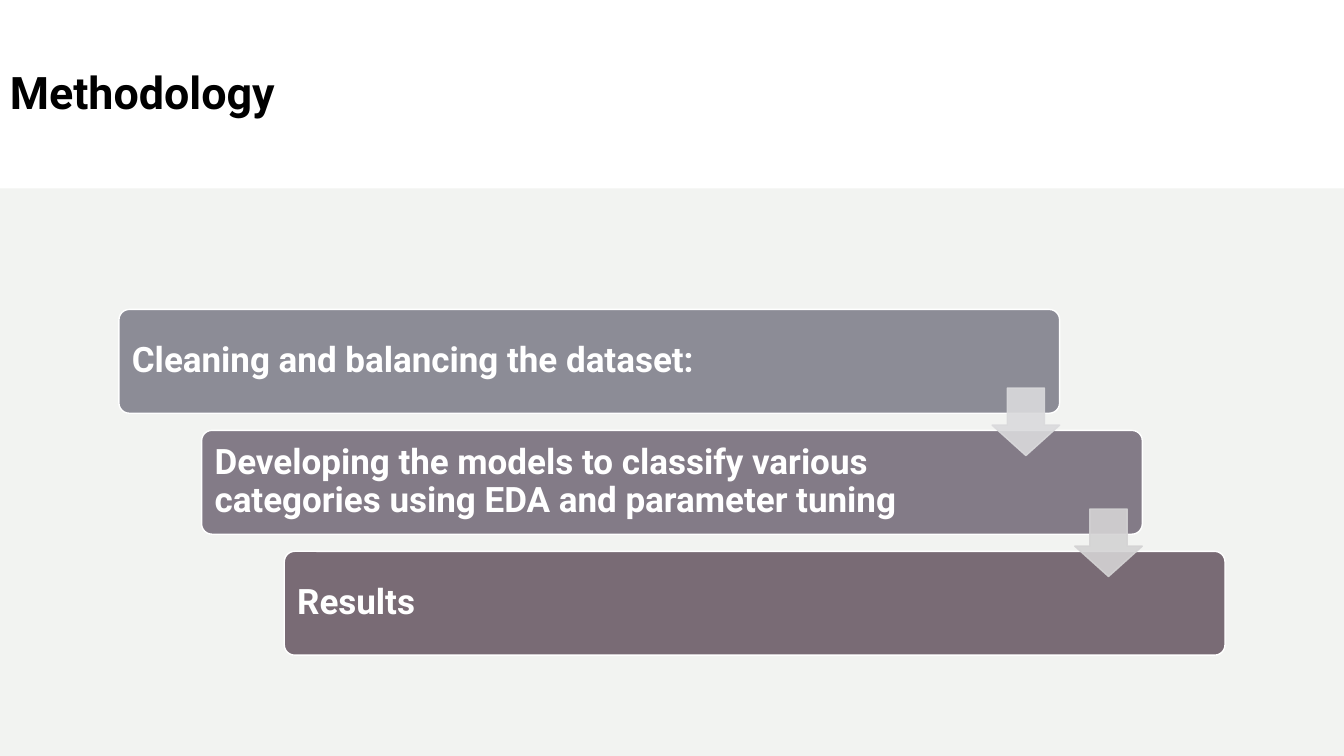
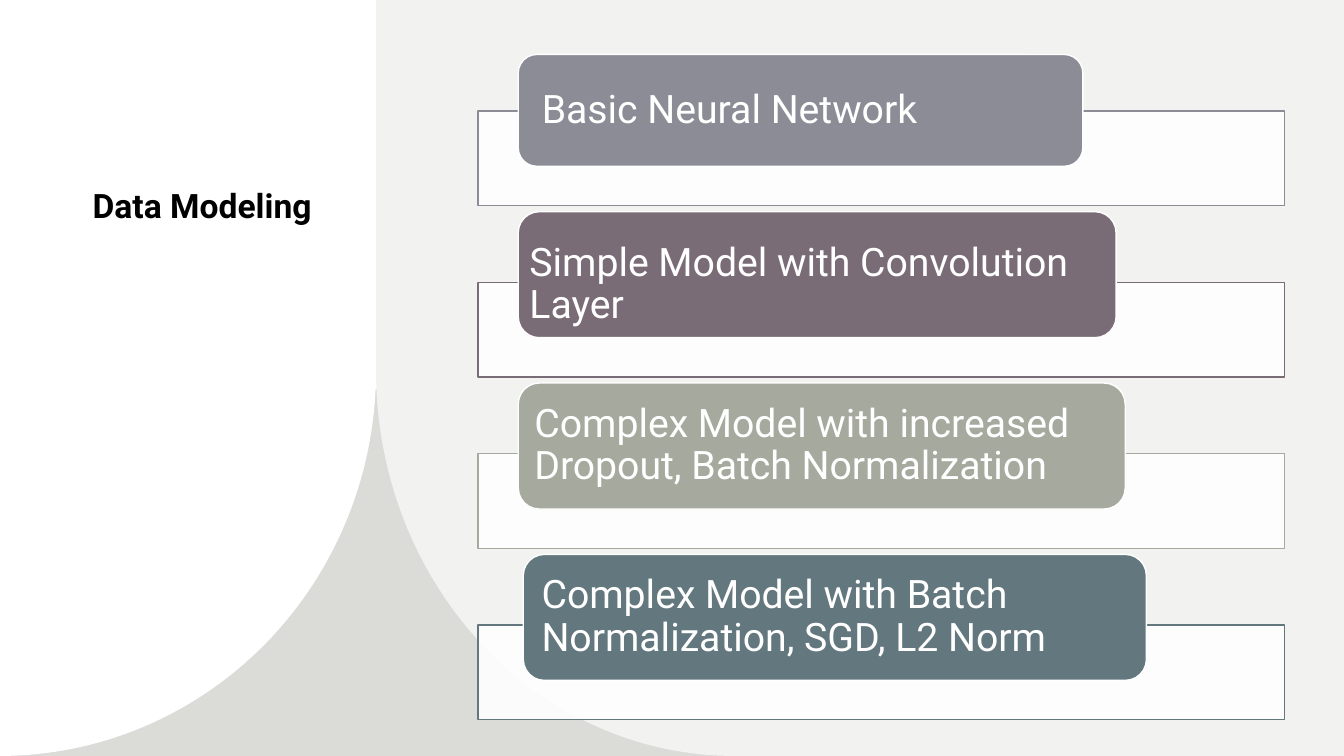
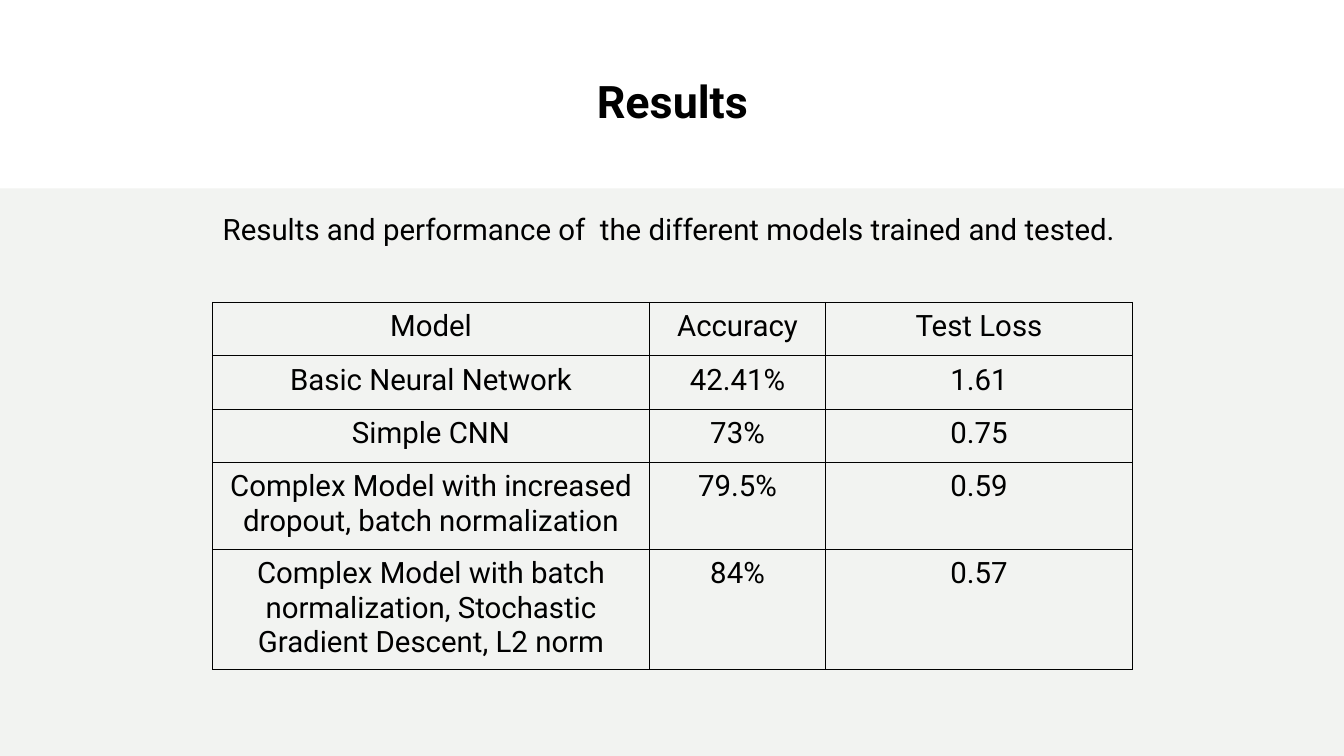
from math import cos, radians, sin

from lxml.etree import SubElement
from pptx import Presentation
from pptx.dml.color import RGBColor
from pptx.enum.shapes import MSO_SHAPE
from pptx.enum.text import MSO_ANCHOR, PP_ALIGN
from pptx.oxml import parse_xml
from pptx.oxml.ns import nsdecls, qn
from pptx.util import Inches, Pt

FONT = "Roboto"
COLORS = {
    "white": "FFFFFF", "black": "000000", "body": "F2F3F1", "corner": "DBDCD7",
    "slate": "8C8C96", "violet": "837B87", "plum": "796B75", "mauve": "7A6C76",
    "sage": "A6A99D", "teal": "63777E", "arrow1": "DADADC", "arrow2": "D4D3D4",
}
SLIDE_W, SLIDE_H = 13.33, 7.5
BAND_H = 1.87
PANEL_W = 3.73


def rgb(name):
    return RGBColor.from_string(COLORS[name])


def write(frame, text, size=21, bold=False, color="black", align=PP_ALIGN.LEFT,
          anchor=MSO_ANCHOR.TOP, spacing=1.0, insets=(0.1, 0.05, 0.1, 0.05)):
    """Fill a text frame with one paragraph; insets run left, top, right, bottom."""
    frame.word_wrap = True
    frame.vertical_anchor = anchor
    (frame.margin_left, frame.margin_top,
     frame.margin_right, frame.margin_bottom) = map(Inches, insets)
    paragraph = frame.paragraphs[0]
    paragraph.alignment = align
    paragraph.line_spacing = spacing
    run = paragraph.add_run()
    run.text = text
    run.font.name = FONT
    run.font.size = Pt(size)
    run.font.bold = bold
    run.font.color.rgb = rgb(color)


def add_text(slide, box, text, **style):
    write(slide.shapes.add_textbox(*map(Inches, box)).text_frame, text, **style)


def add_title(slide, box, text, size=32, anchor=MSO_ANCHOR.MIDDLE, **style):
    add_text(slide, box, text, size=size, bold=True, anchor=anchor, spacing=1.1, **style)


def set_alpha(fill_owner, percent):
    for color in fill_owner.iter(qn("a:srgbClr")):
        SubElement(color, qn("a:alpha"), val=str(percent * 1000))


def paint(shape, fill, line=None):
    shape.shadow.inherit = False
    shape.fill.solid()
    shape.fill.fore_color.rgb = rgb(fill)
    if line:
        shape.line.color.rgb = rgb(line)
        shape.line.width = Pt(1)
    else:
        shape.line.fill.background()


def add_block(slide, kind, box, fill, line=None, adjust=()):
    block = slide.shapes.add_shape(kind, *map(Inches, box))
    for index, value in enumerate(adjust):
        block.adjustments[index] = value
    paint(block, fill, line)
    return block


def add_outline(slide, points, fill):
    corners = [(Inches(x), Inches(y)) for x, y in points]
    builder = slide.shapes.build_freeform(*corners[0])
    builder.add_line_segments(corners[1:], close=True)
    paint(builder.convert_to_shape(), fill)


def quarter_arc(center, radii, start):
    """Points along 90 degrees of an ellipse, clockwise on the slide."""
    angles = [radians(start + step * 1.5) for step in range(61)]
    return [(center[0] + radii[0] * cos(a), center[1] + radii[1] * sin(a)) for a in angles]


def add_body(slide):
    add_block(slide, MSO_SHAPE.RECTANGLE, (0, BAND_H, SLIDE_W, SLIDE_H - BAND_H), "body")


def add_staircase(slide, left, top, steps, arrows):
    width, height, shift, pitch, arrow = 9.33, 1.03, 0.82, 1.2, 0.67
    places = [(left + i * shift, top + i * pitch) for i in range(len(steps))]
    for (x, y), (label, color) in zip(places, steps):
        step = add_block(slide, MSO_SHAPE.ROUNDED_RECTANGLE, (x, y, width, height),
                         color, "white", [0.1])
        write(step.text_frame, label, size=25, bold=True, color="white", spacing=0.9,
              anchor=MSO_ANCHOR.MIDDLE, insets=(0.1, 0.1, 1.59, 0.1))
    for (x, y), color in zip(places, arrows):
        pointer = add_block(slide, MSO_SHAPE.DOWN_ARROW,
                            (x + width - arrow, y + 0.78, arrow, arrow),
                            color, color, [0.55, 0.45])
        set_alpha(pointer.element.spPr, 90)


def add_curved_panels(slide):
    bend = 3.68
    drop, foot = SLIDE_H - bend, 7.28
    add_block(slide, MSO_SHAPE.RECTANGLE, (0, 3.86, 7.37, SLIDE_H - 3.86), "corner")
    add_outline(slide, [(0, 0), (PANEL_W, 0),
                        *quarter_arc((0, bend), (PANEL_W, drop), 0)], "white")
    add_outline(slide, [(PANEL_W, 0), (SLIDE_W, 0), (SLIDE_W, SLIDE_H),
                        *quarter_arc((foot, bend), (foot - PANEL_W, drop), 90)], "body")


def add_model_list(slide, left, top, models):
    for i, (label, color, indent, width, height, pad, lower) in enumerate(models):
        y = top + i * 1.7
        frame = add_block(slide, MSO_SHAPE.RECTANGLE, (left, y, 8, 0.94), "white", color)
        set_alpha(frame.element.spPr.find(qn("a:solidFill")), 90)
        tag = add_block(slide, MSO_SHAPE.ROUNDED_RECTANGLE,
                        (left + indent, y + 0.55 - height, width, height),
                        color, "white", [0.167])
        write(tag.text_frame, label, size=28, color="white", spacing=0.9,
              anchor=MSO_ANCHOR.MIDDLE, insets=(pad, lower, 0.1, 0))


def add_borders(cell):
    properties = cell._tc.get_or_add_tcPr()
    for index, side in enumerate("LRTB"):
        properties.insert(index, parse_xml(
            f'<a:ln{side} {nsdecls("a")} w="12700"><a:solidFill>'
            f'<a:srgbClr val="{COLORS["black"]}"/></a:solidFill></a:ln{side}>'))


def add_results_table(slide, left, top, rows):
    widths, heights = (4.33, 1.75, 3.04), (0.53, 0.53, 0.53, 0.86, 1.17)
    table = slide.shapes.add_table(
        len(rows), len(widths), Inches(left), Inches(top),
        Inches(sum(widths)), Inches(sum(heights))).table
    table.first_row = table.horz_banding = False
    for column, width in zip(table.columns, widths):
        column.width = Inches(width)
    for row, height, values in zip(table.rows, heights, rows):
        row.height = Inches(height)
        for cell, value in zip(row.cells, values):
            write(cell.text_frame, value, align=PP_ALIGN.CENTER)
            cell.vertical_anchor = MSO_ANCHOR.TOP
            cell.margin_left = cell.margin_right = Inches(0.07)
            cell.margin_top = cell.margin_bottom = Inches(0.07)
            cell.fill.background()
            add_borders(cell)


def methodology_slide(slide):
    add_title(slide, (0, 0.4, 6.74, 0.97), "Methodology")
    add_body(slide)
    add_staircase(slide, 1.18, 3.07, [
        ("Cleaning and balancing the dataset:", "slate"),
        ("Developing the models to classify various categories using EDA "
         "and parameter tuning", "violet"),
        ("Results", "plum"),
    ], ["arrow1", "arrow2"])


def modeling_slide(slide):
    add_curved_panels(slide)
    add_title(slide, (0.82, 1.75, 2.63, 2.73), "Data Modeling", size=24,
              anchor=MSO_ANCHOR.TOP)
    # label, colour, indent, width, height, left padding, top padding
    add_model_list(slide, 4.74, 1.1, [
        ("Basic Neural Network", "slate", 0.4, 5.6, 1.11, 0.18, 0),
        ("Simple Model with Convolution Layer", "mauve", 0.4, 5.93, 1.25, 0.05, 0.2),
        ("Complex Model with increased Dropout, Batch Normalization",
         "sage", 0.4, 6.02, 1.25, 0.1, 0),
        ("Complex Model with Batch Normalization, SGD, L2 Norm",
         "teal", 0.45, 6.18, 1.25, 0.12, 0),
    ])


def results_slide(slide):
    add_title(slide, (1.18, 0.49, 10.98, 0.97), "Results", align=PP_ALIGN.CENTER)
    add_body(slide)
    add_results_table(slide, 2.11, 3, [
        ("Model", "Accuracy", "Test Loss"),
        ("Basic Neural Network", "42.41%", "1.61"),
        ("Simple CNN", "73%", "0.75"),
        ("Complex Model with increased dropout, batch normalization", "79.5%", "0.59"),
        ("Complex Model with batch normalization, Stochastic Gradient Descent, L2 norm",
         "84%", "0.57"),
    ])
    add_text(slide, (2.11, 1.99, 9.99, 0.79),
             "Results and performance of  the different models trained and tested.",
             insets=(0.1, 0.1, 0.1, 0.1))


def main():
    deck = Presentation()
    deck.slide_width, deck.slide_height = Inches(SLIDE_W), Inches(SLIDE_H)
    blank = deck.slide_layouts[6]
    for build in (methodology_slide, modeling_slide, results_slide):
        build(deck.slides.add_slide(blank))
    deck.save("out.pptx")


if __name__ == "__main__":
    main()
